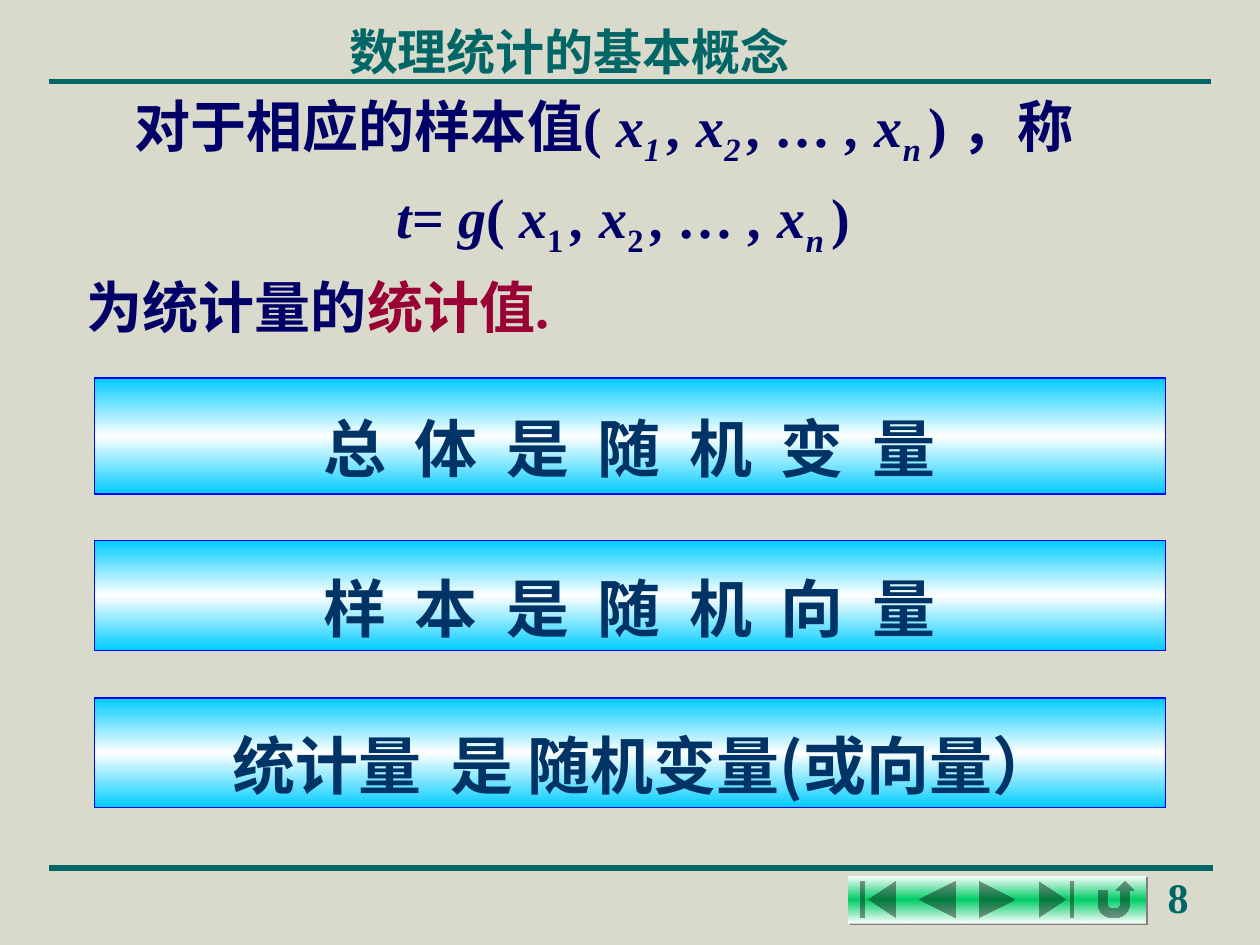
from lxml.etree import SubElement
from copy import deepcopy
from pptx import Presentation
from pptx.dml.color import RGBColor
from pptx.enum.shapes import MSO_CONNECTOR, MSO_SHAPE
from pptx.enum.text import MSO_ANCHOR, PP_ALIGN
from pptx.oxml.ns import qn
from pptx.util import Cm, Pt

COLOURS = {
    "background": "DADACC", "teal": "006666", "navy": "000066",
    "crimson": "990033", "ink": "003366", "sky": "00CCFF",
    "white": "FFFFFF", "green": "00CC66", "border": "0000FF",
    "shadow": "808080",
}
SERIF, SANS = "Times New Roman", "Noto Sans CJK SC"


def colour(name):
    return RGBColor.from_string(COLOURS[name])


def add_span(para, text, *, size=32, font=SERIF, color="navy", italic=None,
             subscript=False, spacing=None):
    """Append a bold run; spacing is the extra letter spacing in points."""
    span = para.add_run()
    span.text = text
    span.font.name = font
    span.font.size = Pt(size)
    span.font.bold = True
    span.font.italic = italic
    span.font.color.rgb = colour(color)
    properties = span.font._element
    SubElement(properties, qn("a:ea")).set("typeface", SANS)
    if subscript:
        properties.set("baseline", "-25000")
    if spacing:
        properties.set("spc", str(round(spacing * 100)))


def fill_bands(shape, edge, middle):
    """Vertical gradient running from edge to middle and back to edge."""
    shape.fill.gradient()
    shape.fill.gradient_angle = 90
    for stop in shape.fill.gradient_stops:
        stop.color.rgb = colour(edge)
    stop_list = shape._element.spPr.find(".//" + qn("a:gsLst"))
    stop_list.insert(1, deepcopy(stop_list[0]))
    centre = shape.fill.gradient_stops[1]
    centre.position = 0.5
    centre.color.rgb = colour(middle)


class SlideBuilder:
    def __init__(self, page):
        self.page = page
        page.background.fill.solid()
        page.background.fill.fore_color.rgb = colour("background")

    def rule(self, left, right, top):
        line = self.page.shapes.add_connector(
            MSO_CONNECTOR.STRAIGHT, Cm(left), Cm(top), Cm(right), Cm(top))
        line.line.color.rgb = colour("teal")
        line.line.width = Pt(3)
        SubElement(line._element.spPr, qn("a:effectLst"))

    def text(self, left, top, width, height, paragraphs):
        """Each paragraph is (spans, format); each span is (text, format)."""
        box = self.page.shapes.add_textbox(
            Cm(left), Cm(top), Cm(width), Cm(height))
        frame = box.text_frame
        frame.word_wrap = True
        for index, (spans, layout) in enumerate(paragraphs):
            para = frame.add_paragraph() if index else frame.paragraphs[0]
            para.alignment = layout.get("align", PP_ALIGN.LEFT)
            para.line_spacing = layout.get("line_spacing", 1.0)
            if index:
                para.space_before = Pt(8)
            if "indent" in layout:
                properties = para._p.get_or_add_pPr()
                properties.set("marL", str(Cm(layout["indent"])))
            for words, style in spans:
                add_span(para, words, **style)

    def bar(self, top, height, spans, shift=0):
        box = self.page.shapes.add_shape(
            MSO_SHAPE.RECTANGLE, Cm(1.9), Cm(top), Cm(21.59), Cm(height))
        box.shadow.inherit = False
        fill_bands(box, "sky", "white")
        box.line.color.rgb = colour("border")
        box.line.width = Pt(0.75)
        frame = box.text_frame
        frame.vertical_anchor = MSO_ANCHOR.MIDDLE
        frame.margin_left = Cm(0.25 + shift)
        para = frame.paragraphs[0]
        para.alignment = PP_ALIGN.CENTER
        para.line_spacing = 1.3
        for words, spacing in spans:
            add_span(para, words, size=36, font=SANS, color="ink",
                     spacing=spacing)

    def buttons(self, left, top, width, height, kinds):
        group = self.page.shapes.add_group_shape()
        for index, kind in enumerate(kinds):
            button = group.shapes.add_shape(
                kind, Cm(left + index * width), Cm(top), Cm(width), Cm(height))
            button.shadow.inherit = False
            fill_bands(button, "white", "green")
            button.line.fill.background()
            effects = button._element.spPr.find(qn("a:effectLst"))
            shadow = SubElement(effects, qn("a:outerShdw"),
                                dist=str(Pt(1.4)), dir="2700000")
            SubElement(shadow, qn("a:srgbClr"), val=COLOURS["shadow"])


def main():
    deck = Presentation()
    deck.slide_width, deck.slide_height = Cm(25.4), Cm(19.05)
    slide = SlideBuilder(deck.slides.add_slide(deck.slide_layouts[6]))

    slide.rule(0.99, 24.41, 1.65)
    slide.rule(0.99, 24.46, 17.5)
    slide.buttons(17.1, 17.65, 1.2, 0.97, [
        MSO_SHAPE.ACTION_BUTTON_BEGINNING,
        MSO_SHAPE.ACTION_BUTTON_BACK_OR_PREVIOUS,
        MSO_SHAPE.ACTION_BUTTON_FORWARD_OR_NEXT,
        MSO_SHAPE.ACTION_BUTTON_END,
        MSO_SHAPE.ACTION_BUTTON_RETURN,
    ])
    slide.text(23.29, 17.45, 2.01, 1.27,
               [([("8", {"size": 24, "color": "teal"})], {})])
    slide.text(2.9, 0.08, 17.15, 1.57, [
        ([("数理统计的基本概念", {"size": 28, "color": "teal"})],
         {"align": PP_ALIGN.CENTER, "line_spacing": 1.2})])

    italic = {"italic": True}
    italic_sub = {"italic": True, "subscript": True}

    def sample(digit_style):
        """Spans of x1, x2, … , xn with the given style for the digits."""
        return [("x", italic), ("1 ", digit_style), (", x", italic),
                ("2 ", digit_style), (", … , x", italic), ("n ", italic_sub)]

    slide.text(1.5, 1.73, 22.43, 5.72, [
        ([("对于相应的样本值( ", {}), *sample(italic_sub), (") ，称", {})],
         {"indent": 0.97}),
        ([("t", italic), ("= ", {}), ("g", italic), ("( ", {}),
          *sample({"subscript": True}), (") ", {})],
         {"align": PP_ALIGN.CENTER}),
        ([("为统计量的", {}), ("统计值.", {"color": "crimson"})], {}),
    ])

    slide.bar(7.62, 2.34, [("总 体 是 随 机 变 量", 4.1)])
    slide.bar(10.9, 2.21, [("样 本 是 随 机 向 量", 4.1)])
    slide.bar(14.07, 2.21, [("统计量", None), (" ", 8.2),
                            ("是 随机变量(或向量）", None)], shift=0.58)
    deck.save("out.pptx")


if __name__ == "__main__":
    main()
